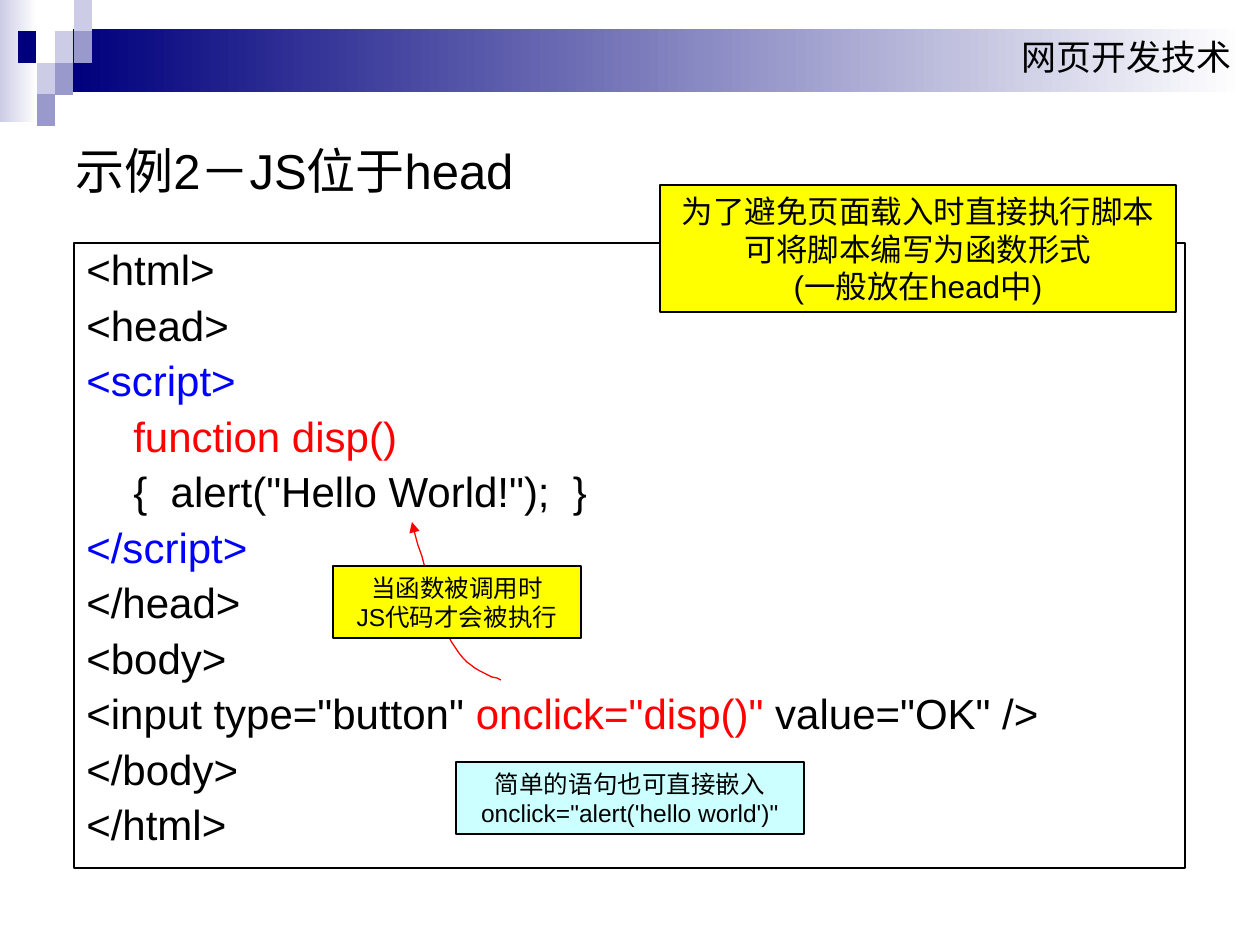
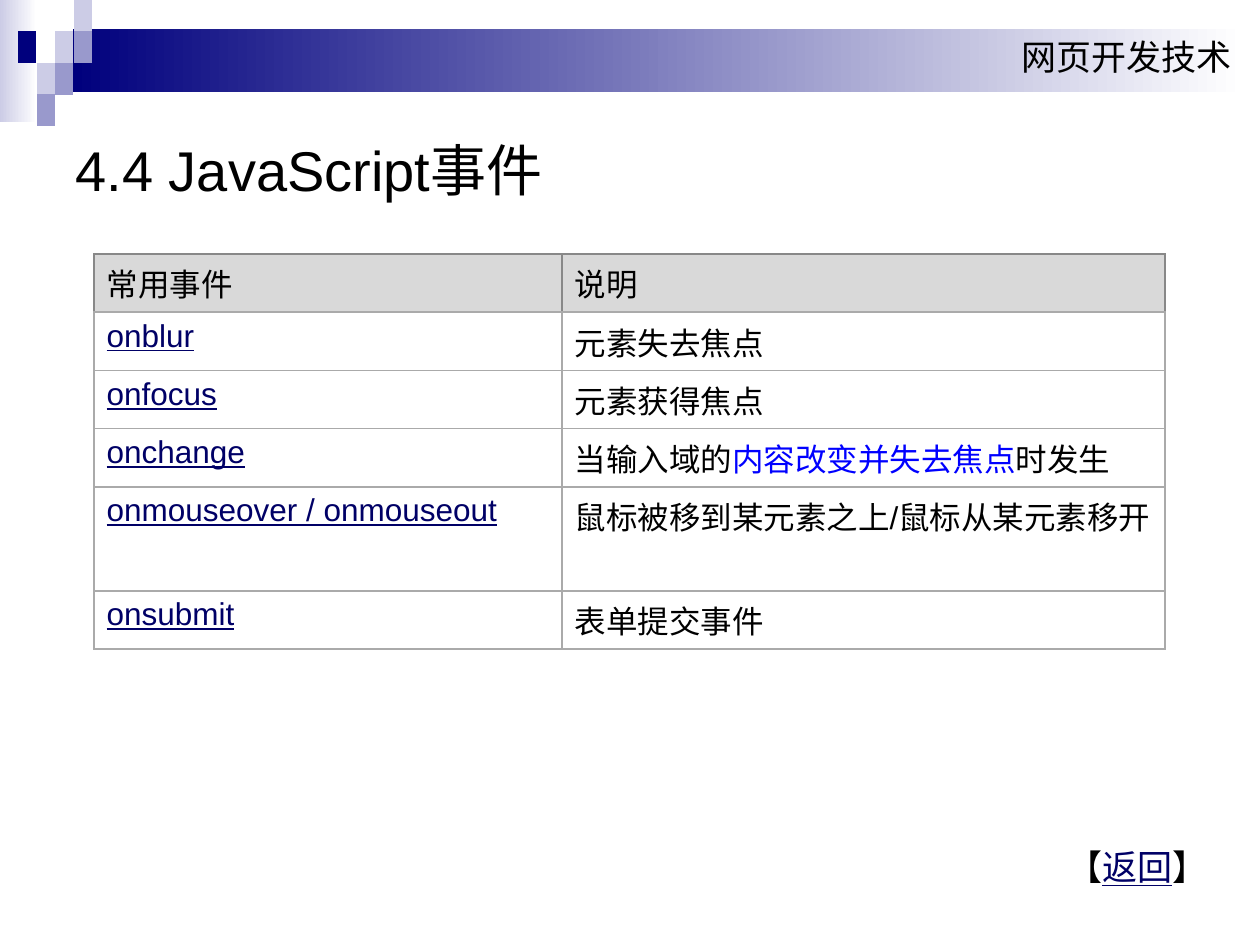
from dataclasses import dataclass
from typing import NamedTuple

from lxml.etree import SubElement
from pptx import Presentation
from pptx.dml.color import RGBColor
from pptx.enum.shapes import MSO_SHAPE
from pptx.enum.text import MSO_ANCHOR, MSO_AUTO_SIZE, PP_ALIGN
from pptx.oxml.ns import qn
from pptx.util import Emu, Pt

SCALE = 914400 / 126
FONT = "Arial"
HANG = 47
COLOURS = {
    "black": "000000", "white": "FFFFFF", "navy": "00007D", "mid": "9999CC",
    "pale": "CCCCE6", "blue": "0000FF", "red": "FF0000", "yellow": "FFFF00",
    "cyan": "CCFFFF", "link": "000066", "head": "D9D9D9", "edge": "888888",
    "grid": "AAAAAA",
}


class Box(NamedTuple):
    """A place on the slide, in pixels."""
    left: int
    top: int
    width: int
    height: int


class Piece(NamedTuple):
    """A stretch of text in one colour."""
    text: str
    colour: str = "black"
    under: bool = False


@dataclass
class Note:
    """A callout box with centred lines."""
    box: Box
    fill: str
    size: int
    lines: list[str]


class Tile(NamedTuple):
    """One square of the corner mosaic."""
    col: int
    row: int
    colour: str


TILES = [
    Tile(3, 1, "pale"), Tile(4, 0, "pale"), Tile(4, 1, "mid"),
    Tile(2, 2, "pale"), Tile(1, 1, "navy"), Tile(3, 2, "mid"),
    Tile(2, 3, "mid"),
]
CODE = [
    [Piece("<html>")],
    [Piece("<head>")],
    [Piece("<script>", "blue")],
    [Piece("\tfunction disp()", "red")],
    [Piece('\t{  alert("Hello World!");  }')],
    [Piece("</script>", "blue")],
    [Piece("</head>")],
    [Piece("<body>")],
    [Piece('<input type="button" '), Piece('onclick="disp()"', "red"),
     Piece(' value="OK" />')],
    [Piece("</body>")],
    [Piece("</html>")],
]
NOTES = [
    Note(Box(660, 185, 516, 127), "yellow", 18,
         ["为了避免页面载入时直接执行脚本", "可将脚本编写为函数形式", "(一般放在head中)"]),
    Note(Box(333, 566, 248, 72), "yellow", 14,
         ["当函数被调用时", "JS代码才会被执行"]),
    Note(Box(456, 762, 348, 72), "cyan", 14,
         ["简单的语句也可直接嵌入onclick=\"alert('hello world')\""]),
]
CURVE = [
    [(501, 680), (484, 674), (466, 668), (451, 641)],
    [(451, 641), (437, 615), (425, 568), (412, 522)],
]
EVENTS = [
    ("onblur", [Piece("元素失去焦点")]),
    ("onfocus", [Piece("元素获得焦点")]),
    ("onchange", [Piece("当输入域的"), Piece("内容改变并失去焦点", "blue"),
                  Piece("时发生")]),
    ("onmouseover / onmouseout", [Piece("鼠标被移到某元素之上/鼠标从某元素移开")]),
    ("onsubmit", [Piece("表单提交事件")]),
]


def px(count: float) -> Emu:
    """Turn pixels into EMU."""
    return Emu(round(count * SCALE))


def place(box: Box) -> list[Emu]:
    """Turn a box into EMU lengths."""
    return [px(side) for side in box]


def rgb(name: str) -> RGBColor:
    """Look up a colour."""
    return RGBColor.from_string(COLOURS[name])


def write(para, pieces: list[Piece], size: int, hang: bool = False) -> None:
    """Fill a paragraph with pieces of text."""
    font = para.font
    font.name, font.size = FONT, Pt(size)
    font.color.rgb = rgb(pieces[0].colour)
    mixed = len(pieces) > 1
    for piece in pieces:
        run = para.add_run()
        run.text = piece.text
        if mixed:
            run.font.color.rgb = rgb(piece.colour)
        if piece.under:
            run.font.underline = True
    if hang:
        props = para._p.get_or_add_pPr()
        props.set("marL", str(px(HANG)))
        props.set("indent", str(-px(HANG)))


def fill_text(frame, lines: list[list[Piece]], size: int,
              hang: bool = False) -> list:
    """Write one paragraph per line and return the paragraphs."""
    paras = [frame.paragraphs[0]]
    paras += [frame.add_paragraph() for _ in lines[1:]]
    for para, line in zip(paras, lines):
        write(para, line, size, hang)
    return paras


def rect(slide, box: Box, fill: str = "", line: str = "", fade: bool = False):
    """Draw a rectangle, plain, filled or fading to white."""
    shape = slide.shapes.add_shape(MSO_SHAPE.RECTANGLE, *place(box))
    shape.shadow.inherit = False
    if fade:
        shape.fill.gradient()
        shape.fill.gradient_angle = 0
        for stop, name in zip(shape.fill.gradient_stops, (fill, "white")):
            stop.color.rgb = rgb(name)
    elif fill:
        shape.fill.solid()
        shape.fill.fore_color.rgb = rgb(fill)
    else:
        shape.fill.background()
    if line:
        shape.line.color.rgb = rgb(line)
        shape.line.width = Pt(0.75)
    else:
        shape.line.fill.background()
    return shape


def start(deck, title: str, size: int):
    """Add a slide with the shared band, mosaic and title."""
    slide = deck.slides.add_slide(deck.slide_layouts[5])
    rect(slide, Box(0, 0, 37, 122), "pale", fade=True)
    band = rect(slide, Box(73, 29, 1171, 63), "navy", fade=True)
    frame = band.text_frame
    frame.vertical_anchor = MSO_ANCHOR.TOP
    fill_text(frame, [[Piece("网页开发技术")]], 20)[0].alignment = PP_ALIGN.RIGHT
    for tile in TILES:
        rect(slide, Box(37 * tile.col // 2, 63 * tile.row // 2, 18, 32),
             tile.colour)
    head = slide.shapes.title
    head.left, head.top, head.width, head.height = place(Box(63, 125, 1134, 89))
    frame = head.text_frame
    frame.auto_size = MSO_AUTO_SIZE.NONE
    frame.vertical_anchor = MSO_ANCHOR.MIDDLE
    fill_text(frame, [[Piece(title)]], size)[0].alignment = PP_ALIGN.LEFT
    return slide


def add_code(slide) -> None:
    """Draw the framed listing."""
    frame = rect(slide, Box(74, 243, 1111, 625), line="black").text_frame
    frame.word_wrap = True
    frame.vertical_anchor = MSO_ANCHOR.TOP
    for para in fill_text(frame, CODE, 24, hang=True):
        para.alignment = PP_ALIGN.LEFT
        para.line_spacing = 0.9
        para.space_before = Pt(5.8)


def add_note(slide, note: Note) -> None:
    """Draw a callout box."""
    frame = rect(slide, note.box, note.fill, "black").text_frame
    frame.word_wrap = True
    frame.auto_size = MSO_AUTO_SIZE.SHAPE_TO_FIT_TEXT
    frame.vertical_anchor = MSO_ANCHOR.MIDDLE
    lines = [[Piece(line)] for line in note.lines]
    for para in fill_text(frame, lines, note.size):
        para.alignment = PP_ALIGN.CENTER


def bezier(knots: list[tuple[int, int]], t: float) -> tuple[float, float]:
    """Give the point at t on a cubic curve."""
    u = 1 - t
    parts = (u ** 3, 3 * u * u * t, 3 * u * t * t, t ** 3)
    x, y = (sum(w * k[i] for w, k in zip(parts, knots)) for i in (0, 1))
    return x, y


def add_curve(slide, steps: int = 12) -> None:
    """Draw the red curved arrow from the call to the function."""
    points = [bezier(arc, n / steps) for arc in CURVE
              for n in range(1, steps + 1)]
    pen = slide.shapes.build_freeform(*CURVE[0][0], scale=SCALE)
    pen.add_line_segments(points, close=False)
    shape = pen.convert_to_shape()
    shape.shadow.inherit = False
    shape.fill.background()
    shape.line.color.rgb = rgb("red")
    shape.line.width = Pt(0.75)
    SubElement(shape.line._get_or_add_ln(), qn("a:tailEnd"), type="triangle")


def set_edges(cell, colours: dict[str, str]) -> None:
    """Draw the four borders of a cell."""
    props = cell._tc.get_or_add_tcPr()
    for spot, (side, name) in enumerate(colours.items()):
        line = SubElement(props, qn("a:ln" + side), w=str(Pt(1)))
        fill = SubElement(line, qn("a:solidFill"))
        SubElement(fill, qn("a:srgbClr"), val=COLOURS[name])
        props.insert(spot, line)


def add_events(slide) -> None:
    """Draw the table of events."""
    rows = [([Piece("常用事件")], [Piece("说明")])]
    rows += [([Piece(name, "link", True)], text) for name, text in EVENTS]
    box = Box(94, 254, 1071, 50 * len(rows))
    table = slide.shapes.add_table(len(rows), 2, *place(box)).table
    table.horz_banding = False
    for col, width in zip(table.columns, (468, 603)):
        col.width = px(width)
    for r, row in enumerate(rows):
        edge = "grid" if r else "edge"
        for c, pieces in enumerate(row):
            cell = table.cell(r, c)
            if r:
                cell.fill.background()
            else:
                cell.fill.solid()
                cell.fill.fore_color.rgb = rgb("head")
                cell.vertical_anchor = MSO_ANCHOR.MIDDLE
            set_edges(cell, {"L": edge, "R": edge, "T": edge, "B": "grid"})
            para = fill_text(cell.text_frame, [pieces], 18, hang=True)[0]
            para.font.bold = False


def add_back(slide) -> None:
    """Write the return label at the lower right."""
    frame = slide.shapes.add_textbox(*place(Box(1047, 839, 175, 54))).text_frame
    frame.word_wrap = False
    frame.auto_size = MSO_AUTO_SIZE.SHAPE_TO_FIT_TEXT
    fill_text(frame, [[Piece(" 【"), Piece("返回", "link", True), Piece("】")]], 20)


def main() -> None:
    """Build and save the deck."""
    deck = Presentation()
    deck.slide_width, deck.slide_height = px(1260), px(945)
    slide = start(deck, "示例2－JS位于head", 28)
    add_code(slide)
    add_curve(slide)
    for note in NOTES:
        add_note(slide, note)
    slide = start(deck, "4.4 JavaScript事件", 32)
    add_events(slide)
    add_back(slide)
    deck.save("out.pptx")


main()
